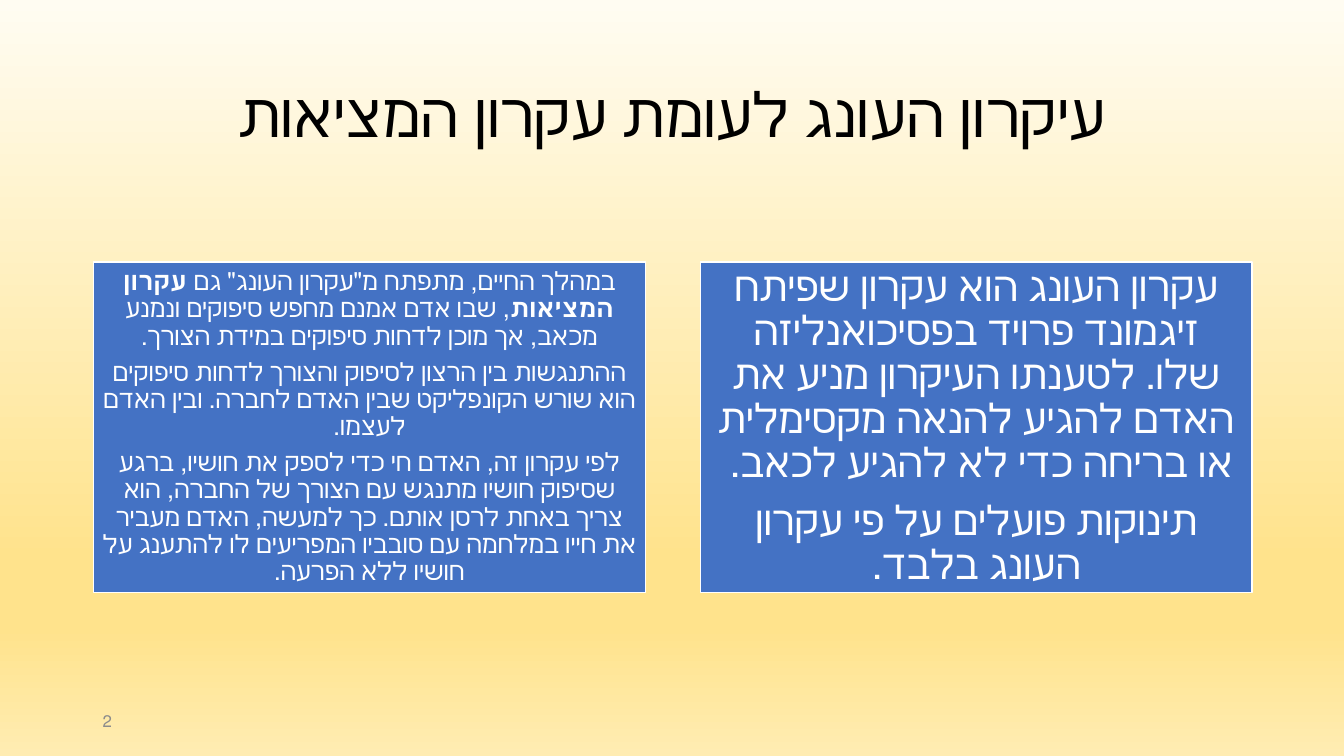
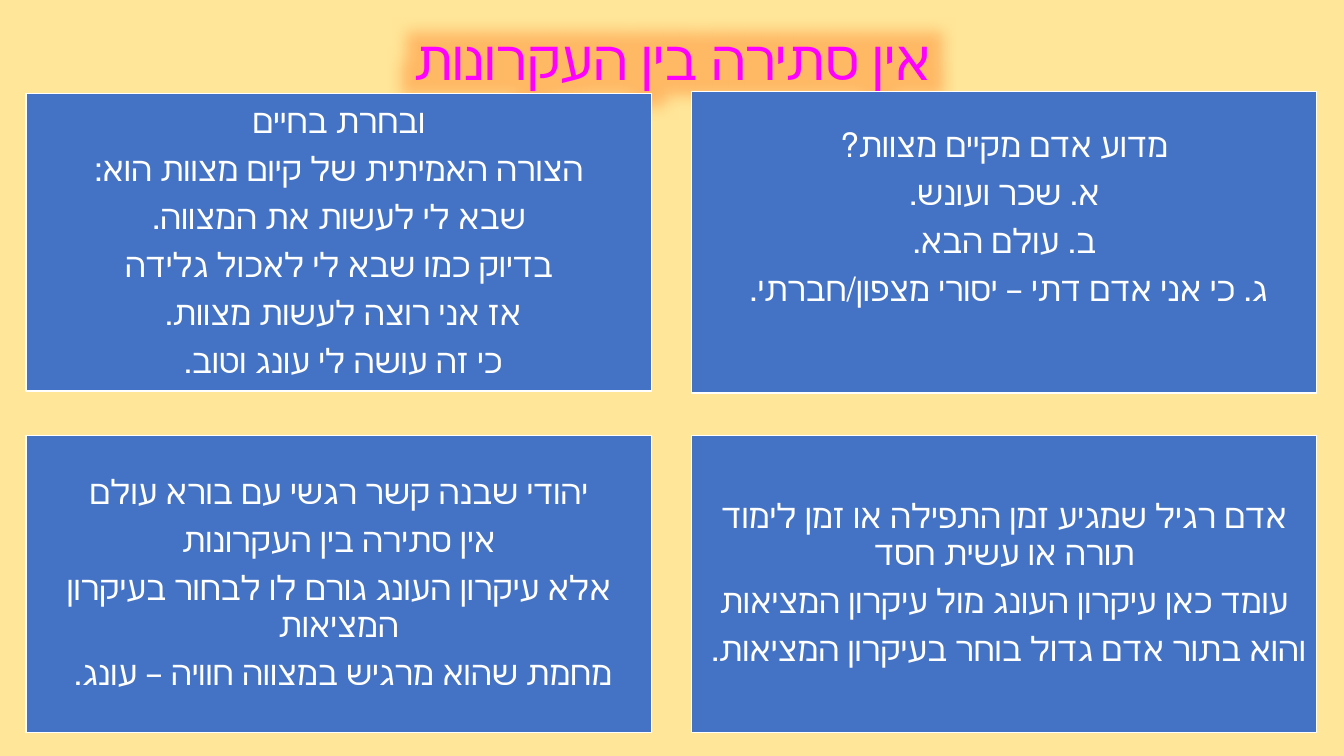
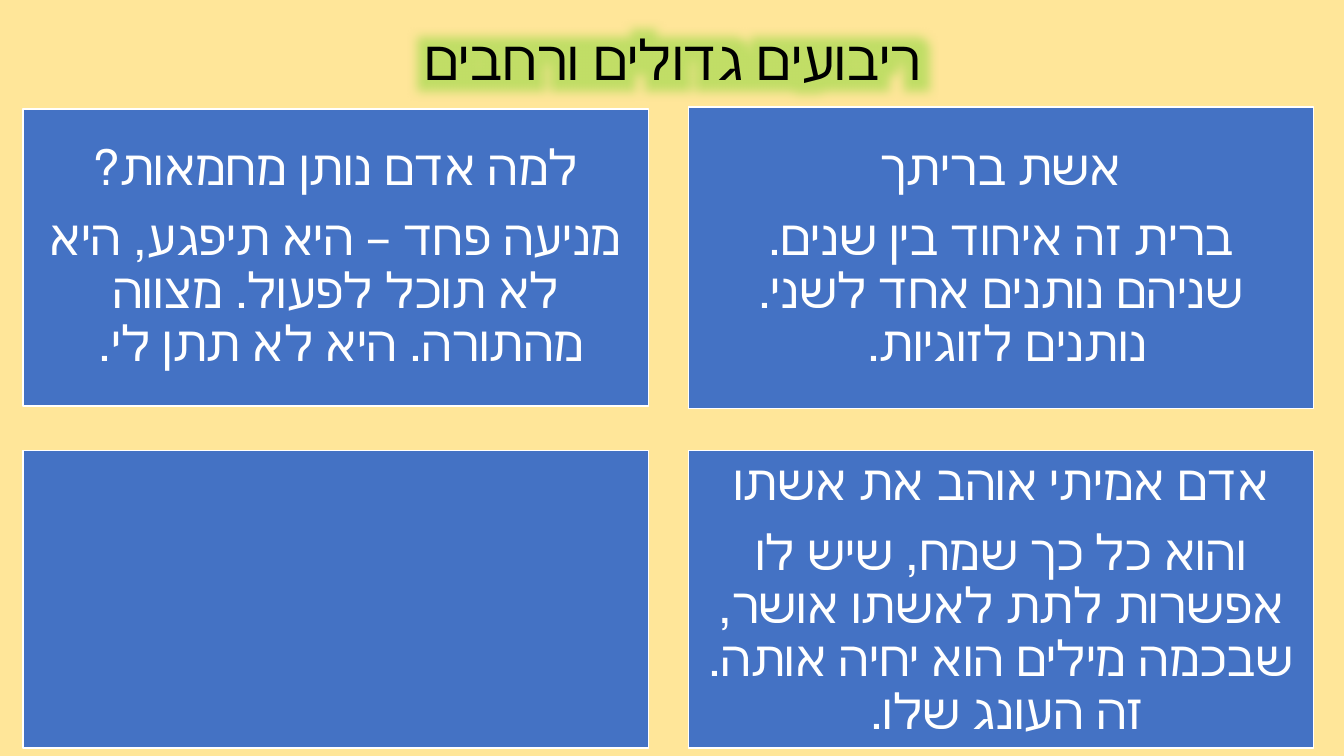
import dataclasses

import lxml.etree
import pptx
import pptx.dml.color
import pptx.enum.shapes
import pptx.enum.text
import pptx.oxml.ns
import pptx.util

Inches = pptx.util.Inches
Pt = pptx.util.Pt
qn = pptx.oxml.ns.qn
ALIGN = pptx.enum.text.PP_ALIGN

COLORS = {
    "sand": "FFE699",
    "card": "4472C4",
    "white": "FFFFFF",
    "black": "000000",
    "magenta": "FF00FF",
    "gray": "8C8C8C",
    "orange_glow": "FF7619",
    "green_glow": "64D21A",
}
GRADIENT = {0: "FFFCF2", 74: "FFE38C", 83: "FFE38C", 100: "FFECB2"}
BODY_FONT = "Calibri"
BOLD_MARK = "**"
LINE_SPACING = 0.9
PARAGRAPH_GAP = 0.35

GRID_WIDTH, GRID_HEIGHT = 6.2, 2.95
COLUMN_STEP, ROW_STEP = 6.6, 3.39
CORNER_GROWTH = 0.02


@dataclasses.dataclass
class Style:
    size: float
    color: str
    font: str = BODY_FONT
    glow: str = ""
    glow_radius: float = 0


@dataclasses.dataclass
class Title:
    text: str
    top: float
    height: float
    style: Style


@dataclasses.dataclass
class Card:
    left: float
    top: float
    width: float
    height: float
    paragraphs: list[str]
    size: float
    inset: float
    extra_bottom: float = 0


@dataclasses.dataclass
class Quarter:
    column: int
    row: int
    paragraphs: list[str]
    extra_bottom: float = 0


@dataclasses.dataclass
class Board:
    title: Title
    left: float
    top: float
    size: float
    inset: float
    quarters: list[Quarter]


def rgb(name: str) -> pptx.dml.color.RGBColor:
    return pptx.dml.color.RGBColor.from_string(COLORS[name])


def format_span(span, style: Style, bold: bool = False) -> None:
    font = span.font
    font.size = Pt(style.size)
    font.name = style.font
    font.bold = bold
    font.color.rgb = rgb(style.color)
    if style.glow:
        effects = lxml.etree.Element(qn("a:effectLst"))
        glow = lxml.etree.SubElement(effects, qn("a:glow"), rad=str(Pt(style.glow_radius)))
        color = lxml.etree.SubElement(glow, qn("a:srgbClr"), val=COLORS[style.glow])
        lxml.etree.SubElement(color, qn("a:alpha"), val="40000")
        span._r.get_or_add_rPr().find(qn("a:solidFill")).addnext(effects)


def write_text(frame, paragraphs: list[str], style: Style,
               align=ALIGN.CENTER, spacing: float = LINE_SPACING, gap: float = 0) -> None:
    frame.word_wrap = True
    frame.vertical_anchor = pptx.enum.text.MSO_ANCHOR.MIDDLE
    for index, text in enumerate(paragraphs):
        para = frame.add_paragraph() if index else frame.paragraphs[0]
        para._p.get_or_add_pPr().set("rtl", "1")
        para.alignment = align
        para.line_spacing = spacing
        para.space_after = Pt(round(style.size * gap, 2))
        for part, words in enumerate(text.split(BOLD_MARK)):
            span = para.add_run()
            span.text = words
            format_span(span, style, bold=part % 2 == 1)


def add_title(page, title: Title) -> None:
    box = page.shapes.add_textbox(
        Inches(0.92), Inches(title.top), Inches(11.5), Inches(title.height))
    write_text(box.text_frame, [title.text], title.style)


def add_card(page, card: Card) -> None:
    box = page.shapes.add_shape(
        pptx.enum.shapes.MSO_SHAPE.RECTANGLE,
        Inches(card.left), Inches(card.top), Inches(card.width), Inches(card.height))
    box.shadow.inherit = False
    box.fill.solid()
    box.fill.fore_color.rgb = rgb("card")
    box.line.color.rgb = rgb("white")
    box.line.width = Pt(1)
    frame = box.text_frame
    frame.margin_left = frame.margin_right = frame.margin_top = Inches(card.inset)
    frame.margin_bottom = Inches(card.inset + card.extra_bottom)
    write_text(frame, card.paragraphs, Style(card.size, "white"), gap=PARAGRAPH_GAP)


def add_page_number(page, number: str) -> None:
    box = page.shapes.add_textbox(Inches(0.92), Inches(6.95), Inches(3), Inches(0.4))
    write_text(box.text_frame, [number], Style(12, "gray"), ALIGN.LEFT, spacing=1.0)


def paint_gradient(page) -> None:
    fill = page.background.fill
    fill.gradient()
    fill.gradient_angle = 270
    stops = page._element.find(".//" + qn("a:gsLst"))
    for stop in list(stops):
        stops.remove(stop)
    for percent, color in GRADIENT.items():
        stop = lxml.etree.SubElement(stops, qn("a:gs"), pos=str(percent * 1000))
        lxml.etree.SubElement(stop, qn("a:srgbClr"), val=color)


def add_page(deck):
    return deck.slides.add_slide(deck.slide_layouts[6])


def add_comparison(deck, title: Title, cards: list[Card], number: str) -> None:
    page = add_page(deck)
    paint_gradient(page)
    add_title(page, title)
    for card in cards:
        add_card(page, card)
    add_page_number(page, number)


def add_board(deck, board: Board) -> None:
    page = add_page(deck)
    page.background.fill.solid()
    page.background.fill.fore_color.rgb = rgb("sand")
    add_title(page, board.title)
    for quarter in board.quarters:
        growth = CORNER_GROWTH if (quarter.column, quarter.row) == (1, 0) else 0
        add_card(page, Card(
            board.left + quarter.column * COLUMN_STEP,
            board.top + quarter.row * ROW_STEP - growth,
            GRID_WIDTH,
            GRID_HEIGHT + 2 * growth,
            quarter.paragraphs,
            board.size,
            board.inset,
            quarter.extra_bottom))


COMPARISON_TITLE = Title("עיקרון העונג לעומת עקרון המציאות", 0.44, 1.45, Style(44, "black"))
COMPARISON_CARDS = [
    Card(0.93, 2.6, 5.47, 3.28, [
        "במהלך החיים, מתפתח מ\"עקרון העונג\" גם** עקרון המציאות**, שבו אדם אמנם מחפש "
        "סיפוקים ונמנע מכאב, אך מוכן לדחות סיפוקים במידת הצורך.",
        "ההתנגשות בין הרצון לסיפוק והצורך לדחות סיפוקים הוא שורש הקונפליקט "
        "שבין האדם לחברה. ובין האדם לעצמו.",
        "לפי עקרון זה, האדם חי כדי לספק את חושיו, ברגע שסיפוק חושיו מתנגש עם הצורך "
        "של החברה, הוא צריך באחת לרסן אותם. כך למעשה, האדם מעביר את חייו במלחמה "
        "עם סובביו המפריעים לו להתענג על חושיו ללא הפרעה.",
    ], 18, 0.07),
    Card(6.95, 2.6, 5.47, 3.28, [
        "עקרון העונג הוא עקרון שפיתח זיגמונד פרויד בפסיכואנליזה שלו. לטענתו העיקרון "
        "מניע את האדם להגיע להנאה מקסימלית או בריחה כדי לא להגיע לכאב. ",
        "תינוקות פועלים על פי עקרון העונג בלבד.",
    ], 29, 0.12),
]

BOARDS = [
    Board(
        Title("אין סתירה בין העקרונות", 0.4, 0.44,
              Style(39.6, "magenta", "Roboto Condensed", "orange_glow", 50)),
        0.26, 0.93, 24, 0.1,
        [
            Quarter(0, 0, [
                "ובחרת בחיים",
                "הצורה האמיתית של קיום מצוות הוא:",
                "שבא לי לעשות את המצווה.",
                "בדיוק כמו שבא לי לאכול גלידה",
                "אז אני רוצה לעשות מצוות. ",
                "כי זה עושה לי עונג וטוב. ",
            ]),
            Quarter(1, 0, [
                "מדוע אדם מקיים מצוות?",
                "א. שכר ועונש.",
                "ב. עולם הבא.",
                "ג. כי אני אדם דתי – יסורי מצפון/חברתי. ",
            ], extra_bottom=0.48),
            Quarter(0, 1, [
                "יהודי שבנה קשר רגשי עם בורא עולם",
                "אין סתירה בין העקרונות",
                "אלא עיקרון העונג גורם לו לבחור בעיקרון המציאות",
                "מחמת שהוא מרגיש במצווה חוויה – עונג. ",
            ]),
            Quarter(1, 1, [
                "אדם רגיל שמגיע זמן התפילה או זמן לימוד תורה או עשית חסד",
                "עומד כאן עיקרון העונג מול עיקרון המציאות",
                "והוא בתור אדם גדול בוחר בעיקרון המציאות. ",
            ]),
        ]),
    Board(
        Title("ריבועים גדולים ורחבים", 0.4, 0.44,
              Style(39.6, "black", glow="green_glow", glow_radius=35)),
        0.23, 1.08, 35, 0.15,
        [
            Quarter(0, 0, [
                "למה אדם נותן מחמאות?",
                "מניעה פחד – היא תיפגע, היא לא תוכל לפעול. מצווה מהתורה. היא לא תתן לי. ",
            ]),
            Quarter(1, 0, [
                "אשת בריתך",
                "ברית זה איחוד בין שנים. שניהם נותנים אחד לשני. נותנים לזוגיות. ",
            ]),
            Quarter(0, 1, []),
            Quarter(1, 1, [
                "אדם אמיתי אוהב את אשתו",
                "והוא כל כך שמח, שיש לו אפשרות לתת לאשתו אושר, שבכמה מילים הוא יחיה "
                "אותה. זה העונג שלו. ",
            ]),
        ]),
]


def main() -> None:
    deck = pptx.Presentation()
    deck.slide_width = Inches(13.33)
    deck.slide_height = Inches(7.5)
    add_comparison(deck, COMPARISON_TITLE, COMPARISON_CARDS, "2")
    for board in BOARDS:
        add_board(deck, board)
    deck.save("out.pptx")


if __name__ == "__main__":
    main()
